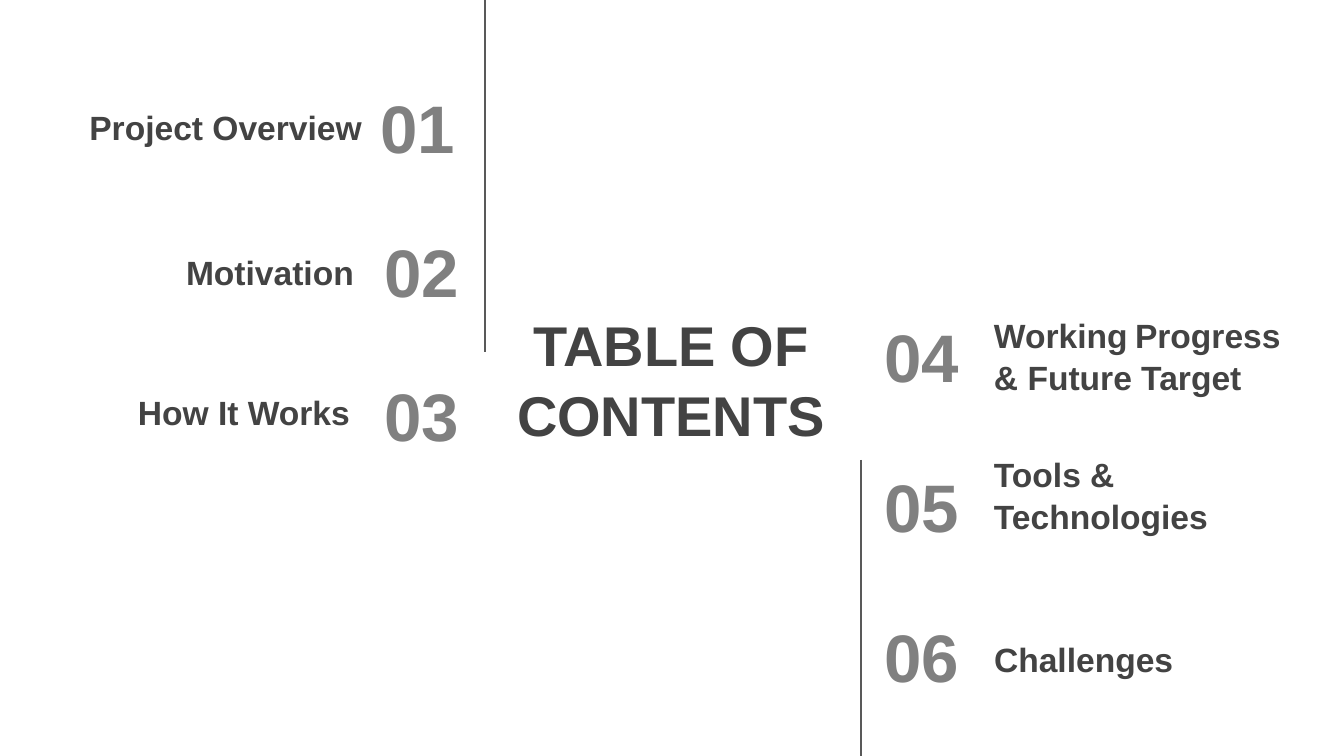
import pptx
import pptx.dml.color
import pptx.enum.shapes
import pptx.enum.text
import pptx.oxml
import pptx.util
from pptx.oxml.ns import qn

PX = 9144000 / 1344  # EMU in one px
COLORS = {"text": "434343", "number": "808080", "line": "595959"}
ALIGN = pptx.enum.text.PP_ALIGN
ANCHOR = pptx.enum.text.MSO_ANCHOR


def px(n):
    return pptx.util.Emu(round(n * PX))


def rgb(name):
    return pptx.dml.color.RGBColor.from_string(COLORS[name])


def add_run(p, text, size=18, color="text", font="Arial", bold=True):
    r = p.add_run()
    r.text = text
    r.font.name, r.font.size, r.font.bold = font, pptx.util.Pt(size), bold
    r.font.color.rgb = rgb(color)


class ContentsSlide:
    inset = 13
    spacing = 1.04

    def __init__(self, prs):
        self.s = prs.slides.add_slide(prs.slide_layouts[6])

    def text(self, box, runs, align=ALIGN.LEFT, anchor=ANCHOR.MIDDLE, **fmt):
        """runs is a list of (text, size) pairs."""
        sp = self.s.shapes.add_textbox(*map(px, box))
        tf = sp.text_frame
        tf.word_wrap = True
        tf.vertical_anchor = anchor
        tf.margin_left = tf.margin_right = px(self.inset)
        tf.margin_top = tf.margin_bottom = px(self.inset)
        p = tf.paragraphs[0]
        p.alignment, p.line_spacing = align, self.spacing
        for text, size in runs:
            add_run(p, text, size=size, **fmt)

    def number(self, box, n, align):
        self.text(box, [(f"{n:02d}", 36)], align, color="number")

    def label(self, box, runs, align):
        self.text(box, runs, align, ANCHOR.BOTTOM)

    def vertical_line(self, x, top, bottom):
        line = self.s.shapes.add_connector(
            pptx.enum.shapes.MSO_CONNECTOR.STRAIGHT, px(x), px(top), px(x), px(bottom))
        line.line.color.rgb = rgb("line")
        line.line.width = pptx.util.Pt(0.75)
        line._element.spPr.append(pptx.oxml.xmlchemy.OxmlElement("a:effectLst"))


def main():
    prs = pptx.Presentation()
    prs.slide_width, prs.slide_height = px(1344), px(756)
    slide = ContentsSlide(prs)

    # Heading
    slide.text((497, 309, 348, 138), [("TABLE OF CONTENTS", 30)], ALIGN.CENTER)

    # Left column: number left edge, label box, label runs
    left = [
        (305, (70, 106, 305, 54), [("Project Overview", 18)]),
        (309, (77, 251, 290, 54), [("Motivation", 18)]),
        (309, (73, 391, 290, 54), [("How It Works", 18)]),
    ]
    for i, (x, box, runs) in enumerate(left):
        slide.number((x, 83 + 144 * i, 163, 85), i + 1, ALIGN.RIGHT)
        slide.label(box, runs, ALIGN.RIGHT)

    # Right column: label box, label runs
    right = [
        ((981, 312, 329, 98),
         [("Working", 18), (" ", 14), ("Progress & Future Target", 18)]),
        ((981, 458, 329, 91), [("Tools & Technologies", 18)]),
        ((981, 630, 290, 62), [("Challenges", 18)]),
    ]
    for i, (box, runs) in enumerate(right):
        slide.number((871, 312 + 150 * i, 157, 85), i + 4, ALIGN.LEFT)
        slide.label(box, runs, ALIGN.LEFT)

    # Dividers
    slide.vertical_line(485, 0, 352)
    slide.vertical_line(861, 460, 756)

    prs.save("out.pptx")


if __name__ == "__main__":
    main()
